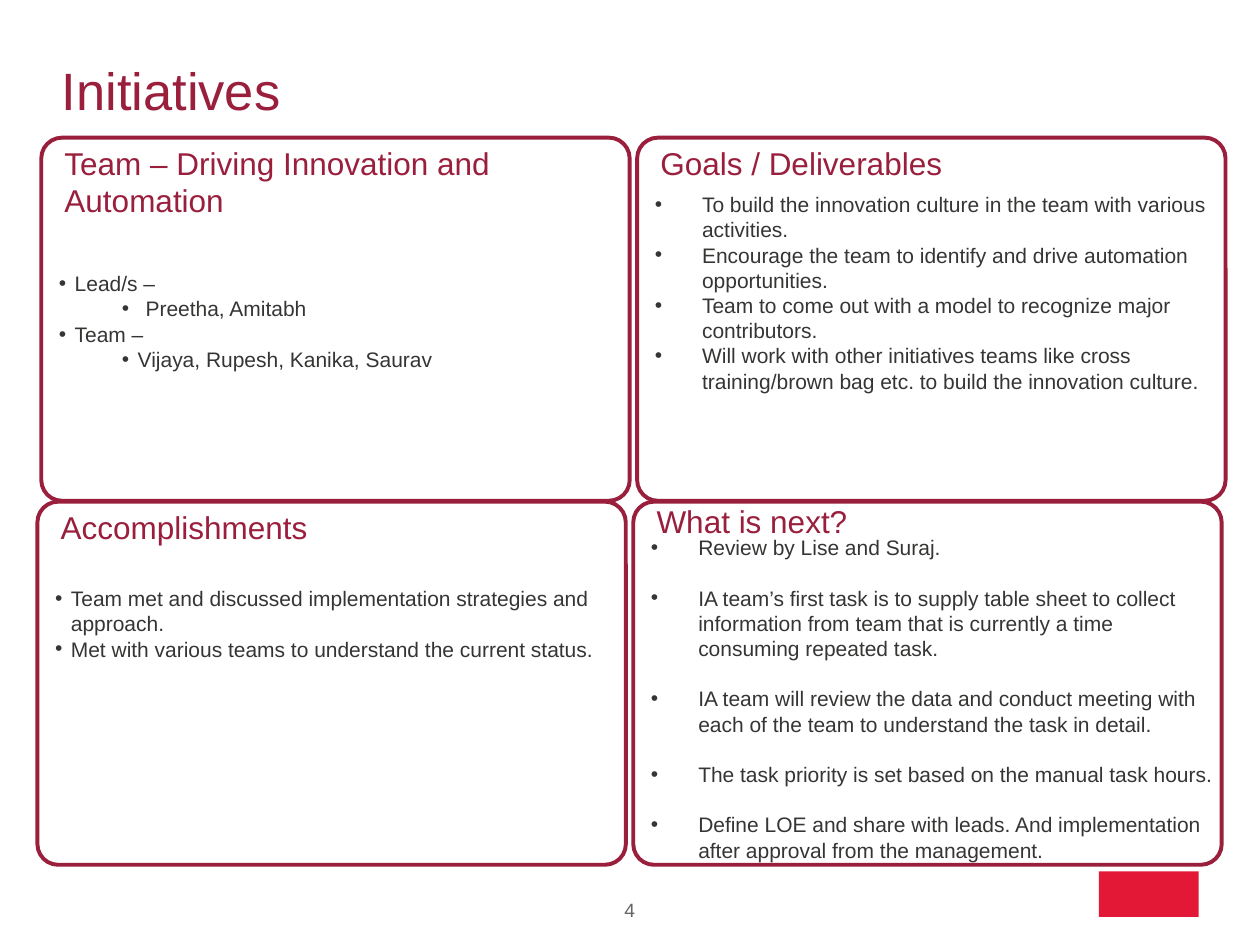
from pptx import Presentation
from pptx.dml.color import RGBColor
from pptx.enum.shapes import MSO_SHAPE as Shape
from pptx.enum.text import MSO_ANCHOR as Anchor, PP_ALIGN as Align
from pptx.oxml.ns import qn
from pptx.util import Pt
from lxml.etree import SubElement

BURGUNDY = RGBColor(0x99, 0x1F, 0x3D)
RED = RGBColor(0xE3, 0x18, 0x37)
WHITE = RGBColor(0xFF, 0xFF, 0xFF)
DARK = RGBColor(0x36, 0x35, 0x34)
GREY = RGBColor(0x66, 0x66, 0x66)

FONT = "Arial"
CARD_WIDTH, CARD_HEIGHT = 336.25, 207.5
COLUMN_STEP = 340.5
UPPER_LEFT, LOWER_LEFT = 23.6, 21.4
UPPER_TOP, LOWER_TOP = 78.7, 286.7
NARROW, WIDE = 9, 27

CARDS = [
    {
        "left": UPPER_LEFT, "top": UPPER_TOP, "heading_top": 78.5, "body_top": 151.2, "gap": 0,
        "heading": "Team – Driving Innovation and Automation",
        "items": [
            ("Lead/s –", 0, NARROW, NARROW),
            ("Preetha, Amitabh", 1, 49.5, 13.5),
            ("Team –", 0, NARROW, NARROW),
            ("Vijaya, Rupesh, Kanika, Saurav", 2, 45, NARROW),
        ],
    },
    {
        "left": UPPER_LEFT + COLUMN_STEP, "top": UPPER_TOP,
        "heading_top": 78.5, "body_top": 106, "gap": 0,
        "heading": "Goals / Deliverables",
        "items": [
            ("To build the innovation culture in the team with various activities.", 0, WIDE, WIDE),
            ("Encourage the team to identify and drive automation opportunities.", 0, WIDE, WIDE),
            ("Team to come out with a model to recognize major contributors.", 0, WIDE, WIDE),
            ("Will work with other initiatives teams like cross training/brown bag etc. "
             "to build the innovation culture.", 0, WIDE, WIDE),
        ],
    },
    {
        "left": LOWER_LEFT, "top": LOWER_TOP, "heading_top": 286.5, "body_top": 331.2, "gap": 0,
        "heading": "Accomplishments",
        "items": [
            ("Team met and discussed implementation strategies and approach.", 0, NARROW, NARROW),
            ("Met with various teams to understand the current status.", 0, NARROW, NARROW),
        ],
    },
    {
        "left": LOWER_LEFT + COLUMN_STEP, "top": LOWER_TOP,
        "heading_top": 283.2, "body_top": 302, "gap": 14.4,
        "heading": "What is next?",
        "items": [
            ("Review by Lise and Suraj.", 1, WIDE, WIDE),
            ("IA team’s first task is to supply table sheet to collect information from team "
             "that is currently a time consuming repeated task.", 0, WIDE, WIDE),
            ("IA team will review the data and conduct meeting with each of the team "
             "to understand the task in detail.", 0, WIDE, WIDE),
            ("The task priority is set based on the manual task hours.", 0, WIDE, WIDE),
            ("Define LOE and share with leads. And implementation after approval "
             "from the management.", 0, WIDE, WIDE),
        ],
    },
]


def add_frame(slide, left, top, width, height, inset=True):
    box = slide.shapes.add_textbox(Pt(left), Pt(top), Pt(width), Pt(height))
    frame = box.text_frame
    frame.word_wrap = True
    if not inset:
        frame.margin_left = frame.margin_right = Pt(0)
        frame.margin_top = frame.margin_bottom = Pt(0)
    return frame


def write(paragraph, text, size, color):
    paragraph.text = text
    paragraph.font.name = FONT
    paragraph.font.size = Pt(size)
    paragraph.font.color.rgb = color


def set_bullet(paragraph, indent, hanging):
    properties = paragraph._p.get_or_add_pPr()
    properties.set("marL", str(Pt(indent)))
    properties.set("indent", str(-Pt(hanging)))
    SubElement(properties, qn("a:buFont")).set("typeface", FONT)
    SubElement(properties, qn("a:buChar")).set("char", "•")


def add_plain_shape(slide, kind, left, top, width, height, fill):
    shape = slide.shapes.add_shape(kind, Pt(left), Pt(top), Pt(width), Pt(height))
    shape.shadow.inherit = False
    shape.fill.solid()
    shape.fill.fore_color.rgb = fill
    shape.line.fill.background()
    return shape


def add_bullets(slide, left, top, height, items, gap):
    frame = add_frame(slide, left, top, 337, height)
    for index, (text, level, indent, hanging) in enumerate(items):
        paragraph = frame.add_paragraph() if index else frame.paragraphs[0]
        write(paragraph, text, 12, DARK)
        paragraph.level = level
        paragraph.space_before = Pt(gap if index else 0)
        set_bullet(paragraph, indent, hanging)


def add_card(slide, card):
    left, top = card["left"], card["top"]
    outline = add_plain_shape(slide, Shape.ROUNDED_RECTANGLE, left, top,
                              CARD_WIDTH, CARD_HEIGHT, WHITE)
    outline.adjustments[0] = 0.057
    outline.line.color.rgb = BURGUNDY
    outline.line.width = Pt(2.25)
    heading = add_frame(slide, left + 6.2, card["heading_top"], 330, 29)
    write(heading.paragraphs[0], card["heading"], 18, BURGUNDY)
    body_height = top + CARD_HEIGHT - card["body_top"]
    add_bullets(slide, left + 3, card["body_top"], body_height, card["items"], card["gap"])


def add_title(slide, text):
    frame = add_frame(slide, 35.3, 14.8, 648.7, 72.7, inset=False)
    frame.vertical_anchor = Anchor.MIDDLE
    write(frame.paragraphs[0], text, 30, BURGUNDY)


def add_page_number(slide, text):
    frame = add_frame(slide, 329.3, 513.4, 61.2, 18.7, inset=False)
    write(frame.paragraphs[0], text, 11, GREY)
    frame.paragraphs[0].alignment = Align.CENTER


def main():
    presentation = Presentation()
    presentation.slide_width, presentation.slide_height = Pt(720), Pt(540)
    slide = presentation.slides.add_slide(presentation.slide_layouts[6])
    add_plain_shape(slide, Shape.RECTANGLE, 628, 498, 57, 26, RED)
    add_title(slide, "Initiatives")
    add_page_number(slide, "4")
    for card in CARDS:
        add_card(slide, card)
    presentation.save("out.pptx")


main()
